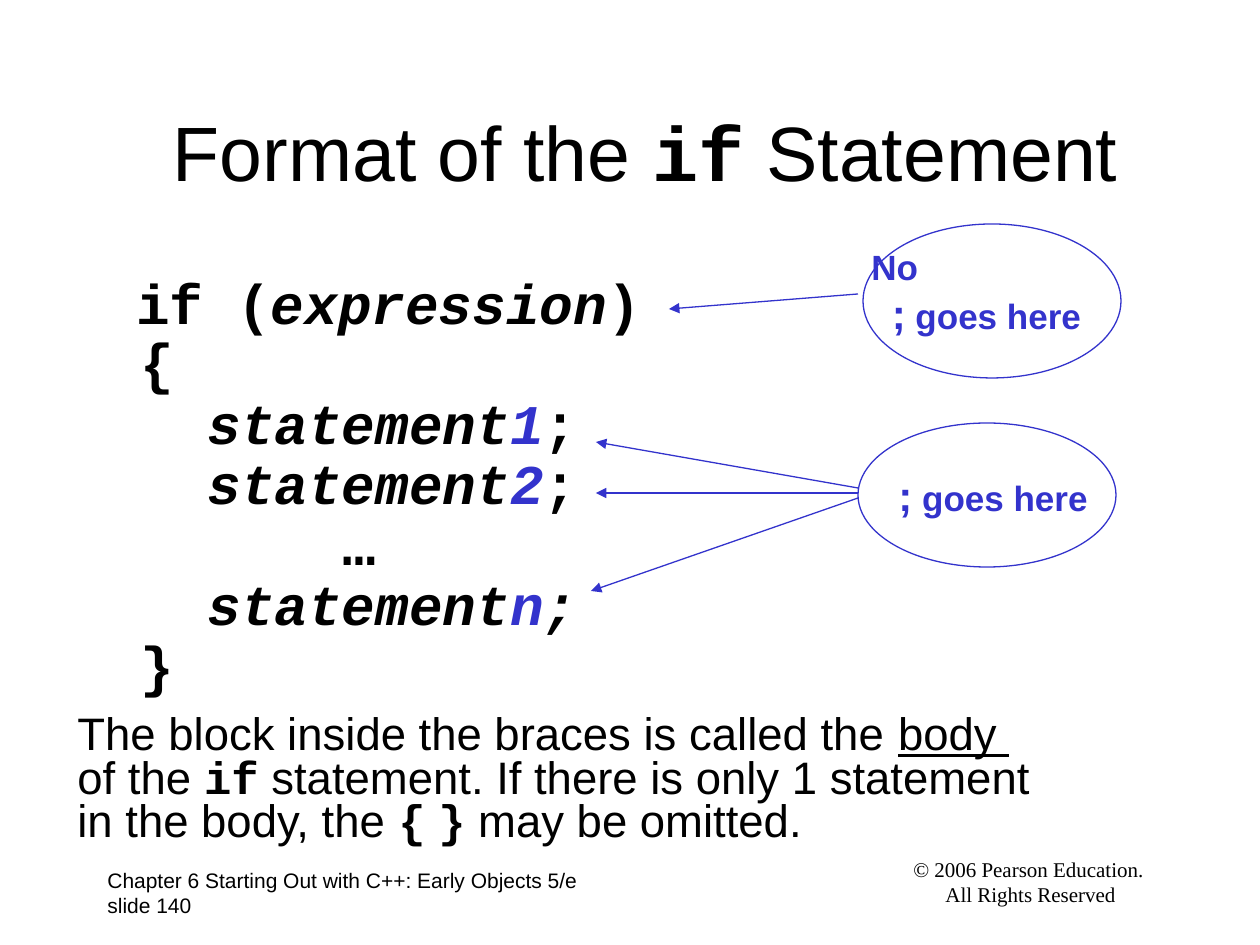
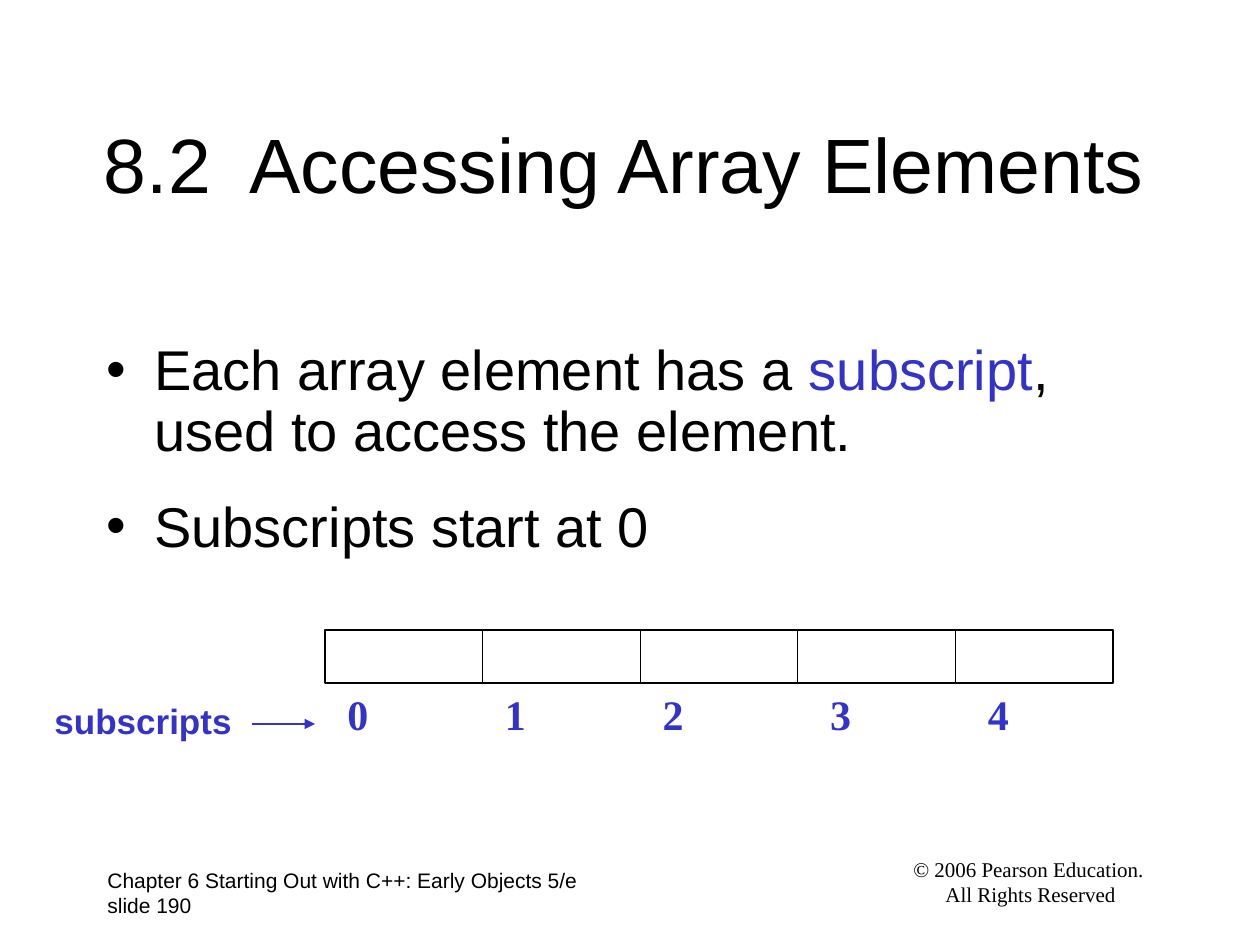
from lxml import etree
from pptx import Presentation
from pptx.dml.color import RGBColor
from pptx.enum import shapes, text
from pptx.oxml.ns import qn
from pptx import util as u

BLACK = RGBColor(0x00, 0x00, 0x00)
BLUE = RGBColor(0x33, 0x33, 0xCC)
SANS, MONO, SERIF = "Arial", "Courier New", "Times New Roman"
LEFT, MID = text.PP_ALIGN.LEFT, text.PP_ALIGN.CENTER

TITLE = dict(size=44)
BODY = dict(size=32)
NOTE = dict(size=26)
FOOT = dict(size=12)
CODE = dict(size=32, face=MONO, bold=True)
VAR = dict(CODE, ital=True)
MARK = dict(VAR, color=BLUE)
TERM = dict(NOTE, face=MONO, bold=True)
CALL = dict(size=20, color=BLUE, bold=True)
SEMI = dict(CALL, size=24)
INDEX = dict(SEMI, face=SERIF)


def px(n):
    return u.Emu(round(n * 914400 / 126))


def add_run(para, words, size, face=SANS, color=BLACK,
            bold=False, ital=False, under=False):
    run = para.add_run()
    run.text = words
    font = run.font
    font.size, font.name = u.Pt(size), face
    font.bold, font.italic, font.underline = bold, ital, under
    font.color.rgb = color


def add_par(frame, *runs, align=LEFT, lead=1.0, before=0,
            left=0, hang=0, dot=False):
    para = frame.paragraphs[0]
    if para.runs:
        para = frame.add_paragraph()
    para.alignment, para.line_spacing = align, lead
    para.space_before = u.Pt(before)
    props = para._p.get_or_add_pPr()
    props.set("marL", str(px(left)))
    props.set("indent", str(px(-hang)))
    if dot:
        etree.SubElement(props, qn("a:buFont"), typeface=SANS)
        etree.SubElement(props, qn("a:buChar"), char="•")
    else:
        etree.SubElement(props, qn("a:buNone"))
    for words, style in runs:
        add_run(para, words, **style)


def add_box(slide, x, y, w, h, anchor=text.MSO_ANCHOR.TOP):
    frame = slide.shapes.add_textbox(px(x), px(y), px(w), px(h)).text_frame
    frame.word_wrap = True
    frame.vertical_anchor = anchor
    return frame


def add_outline(slide, kind, x, y, w, h, color):
    shape = slide.shapes.add_shape(kind, px(x), px(y), px(w), px(h))
    shape.shadow.inherit = False
    shape.fill.background()
    shape.line.color.rgb = color
    shape.line.width = u.Pt(0.75)


def add_arrow(slide, x1, y1, x2, y2):
    line = slide.shapes.add_connector(
        shapes.MSO_CONNECTOR.STRAIGHT, px(x1), px(y1), px(x2), px(y2))
    line.line.color.rgb = BLUE
    line.line.width = u.Pt(0.75)
    etree.SubElement(line.line._get_or_add_ln(), qn("a:tailEnd"), type="triangle")
    etree.SubElement(line._element.spPr, qn("a:effectLst"))


def add_title(slide, x, y, w, h, *runs):
    frame = add_box(slide, x, y, w, h, text.MSO_ANCHOR.MIDDLE)
    add_par(frame, *runs, align=MID)


def add_footer(slide, number):
    frame = add_box(slide, 95, 861, 588, 63)
    add_par(frame, ("Chapter 6 Starting Out with C++: Early Objects 5/e", FOOT))
    add_par(frame, (f"slide {number}", FOOT))
    frame = add_box(slide, 829, 850, 399, 63)
    for words in ("© 2006 Pearson Education.", " All Rights Reserved"):
        add_par(frame, (words, dict(FOOT, face=SERIF)), align=MID)


def add_format(slide, x, y, w, h):
    frame = add_box(slide, x, y, w, h)
    add_par(frame, ("if (", CODE), ("expression", VAR), (")", CODE), left=59)
    rows = [
        (63, [("{", CODE)]),
        (130, [("statement", VAR), ("1", MARK), (";", CODE)]),
        (130, [("statement", VAR), ("2", MARK), (";", CODE)]),
        (265, [("…", CODE)]),
        (130, [("statement", VAR), ("n", MARK), (";", VAR)]),
        (63, [("}", CODE)]),
    ]
    for left, runs in rows:
        add_par(frame, *runs, left=left, lead=0.9)
    add_par(frame, ("The block inside the braces is called the ", NOTE),
            ("body ", dict(NOTE, under=True)), lead=0.8, before=9.8)
    add_par(frame, ("of the ", NOTE), ("if", TERM),
            (" statement. If there is only 1 statement", NOTE), lead=0.8)
    add_par(frame, ("in the body, the ", NOTE), ("{", TERM), (" ", NOTE),
            ("}", TERM), (" may be omitted.", NOTE), lead=0.8)


def add_warning(slide, x, y, w, h):
    add_outline(slide, shapes.MSO_SHAPE.OVAL, x, y, w, h, BLUE)
    frame = add_box(slide, x - 15, y + 15, w + 19, 106)
    add_par(frame, ("No", CALL), left=11)
    add_par(frame, (";", SEMI), (" goes here", CALL), align=MID)
    add_arrow(slide, x - 5, y + 70, x - 194, y + 85)


def add_ending(slide, x, y, w, h):
    add_outline(slide, shapes.MSO_SHAPE.OVAL, x, y, w, h, BLUE)
    frame = add_box(slide, x + 5, y + 40, w, 63)
    add_par(frame, (";", SEMI), (" goes here", CALL), left=23)
    for start, dx, end in ((75, 267, 168), (70, 262, 70), (65, 262, 19)):
        add_arrow(slide, x, y + start, x - dx, y + end)


def add_points(slide, x, y, w, h):
    frame = add_box(slide, x, y, w, h)
    add_par(frame, ("Each array element has a ", BODY),
            ("subscript", dict(BODY, color=BLUE)),
            (", used to access the element.", BODY),
            left=48, hang=48, dot=True, lead=0.9)
    add_par(frame, ("Subscripts start at 0", BODY),
            left=48, hang=48, dot=True, before=16)


def add_array(slide, x, y, w, h, shifts):
    cell = w / len(shifts)
    for i, shift in enumerate(shifts):
        left = x + i * cell
        add_outline(slide, shapes.MSO_SHAPE.RECTANGLE, left, y, cell, h, BLACK)
        frame = add_box(slide, left + shift, y + 52, 63, 63)
        add_par(frame, (str(i), INDEX))
    frame = add_box(slide, x - 283, y + 63, 220, 55)
    add_par(frame, ("subscripts", CALL))
    add_arrow(slide, x - 73, y + 94, x - 10, y + 94)


def make_if(slide):
    add_footer(slide, 140)
    add_title(slide, 110, 85, 1071, 131, ("Format of the ", TITLE),
              ("if", dict(TITLE, face=MONO, bold=True)), (" Statement", TITLE))
    add_format(slide, 65, 262, 1101, 612)
    add_warning(slide, 863, 224, 258, 154)
    add_ending(slide, 858, 423, 258, 144)


def make_array(slide):
    add_footer(slide, 190)
    add_title(slide, 84, 84, 1081, 158, ("8.2  Accessing Array Elements", TITLE))
    add_points(slide, 94, 336, 1071, 473)
    add_array(slide, 325, 630, 788, 53, (10, 10, 10, 20, 20))


def main():
    deck = Presentation()
    deck.slide_width, deck.slide_height = px(1260), px(945)
    for make in (make_if, make_array):
        make(deck.slides.add_slide(deck.slide_layouts[6]))
    deck.save("out.pptx")


if __name__ == "__main__":
    main()
